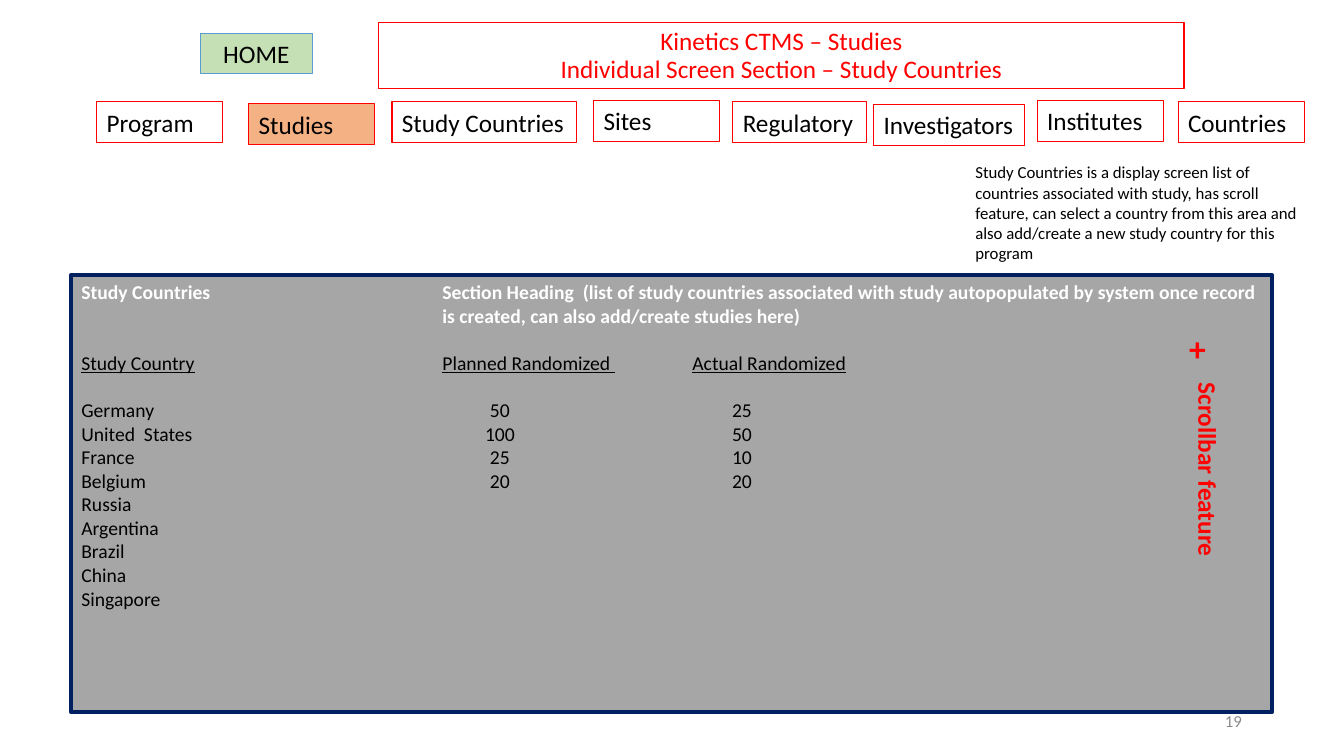
import dataclasses

import lxml.etree
import pptx
import pptx.dml.color
import pptx.enum.shapes
import pptx.enum.text
import pptx.oxml.ns
import pptx.util

Cm, Pt = pptx.util.Cm, pptx.util.Pt
ALIGN = pptx.enum.text.PP_ALIGN
ANCHOR = pptx.enum.text.MSO_ANCHOR
qn = pptx.oxml.ns.qn


@dataclasses.dataclass(frozen=True)
class Theme:
    font: str = "Calibri"
    black: str = "000000"
    white: str = "FFFFFF"
    red: str = "FF0000"
    number_grey: str = "8C8C8C"
    active_fill: str = "F4B183"
    home_fill: str = "C5E0B4"
    home_line: str = "5B9BD5"
    panel_fill: str = "A6A6A6"
    panel_line: str = "002060"
    plus_size: int = 24
    label_size: int = 18
    panel_size: int = 14
    small_size: int = 12


theme = Theme()
rgb = pptx.dml.color.RGBColor.from_string


def add_box(place, line=None, fill=None, line_width=0.75):
    """Add a rectangle, or a plain text box when no line is given."""
    lengths = [Cm(length) for length in place]
    if line:
        box = page.shapes.add_shape(pptx.enum.shapes.MSO_SHAPE.RECTANGLE, *lengths)
        box.shadow.inherit = False
        box.line.color.rgb = rgb(line)
        box.line.width = Pt(line_width)
        if fill:
            box.fill.solid()
            box.fill.fore_color.rgb = rgb(fill)
        else:
            box.fill.background()
    else:
        box = page.shapes.add_textbox(*lengths)
    box.text_frame.word_wrap = True
    box.text_frame.vertical_anchor = ANCHOR.TOP
    box.text_frame.paragraphs[0].alignment = ALIGN.LEFT
    return box


def add_span(para, text, size, color=theme.black, bold=False, underline=False):
    span = para.add_run()
    span.text = text
    span.font.name = theme.font
    span.font.size = Pt(size)
    span.font.color.rgb = rgb(color)
    span.font.bold = bold
    span.font.underline = underline


deck = pptx.Presentation()
deck.slide_width, deck.slide_height = Cm(33.87), Cm(19.05)
page = deck.slides.add_slide(deck.slide_layouts[6])

# Title
title = add_box((9.55, 0.58, 20.29, 1.65), theme.red)
title.text_frame.vertical_anchor = ANCHOR.BOTTOM
para = title.text_frame.paragraphs[0]
para.alignment = ALIGN.CENTER
para.line_spacing = 0.9
add_span(para, "Kinetics CTMS – Studies", theme.label_size, theme.red)
para.add_line_break()
add_span(para, "Individual Screen Section – Study Countries", theme.label_size, theme.red)

# Page number
number = add_box((23.93, 17.65, 7.62, 1.02))
number.text_frame.vertical_anchor = ANCHOR.MIDDLE
para = number.text_frame.paragraphs[0]
para.alignment = ALIGN.RIGHT
add_span(para, "19", theme.small_size, theme.number_grey)

# Home button
home = add_box((5.05, 0.84, 2.82, 1.02), theme.home_line, theme.home_fill)
para = home.text_frame.paragraphs[0]
para.alignment = ALIGN.CENTER
add_span(para, "HOME", theme.label_size)

# Navigation tabs: name, left, top, width
tabs = [
    ("Program", 2.44, 2.57, 3.18),
    ("Studies", 6.27, 2.62, 3.18),
    ("Study Countries", 9.88, 2.57, 4.65),
    ("Sites", 14.96, 2.54, 3.18),
    ("Regulatory", 18.47, 2.57, 3.38),
    ("Investigators", 22.02, 2.64, 3.8),
    ("Institutes", 26.14, 2.54, 3.18),
    ("Countries", 29.69, 2.57, 3.18),
]
for name, left, top, width in tabs:
    fill = theme.active_fill if name == "Studies" else None
    tab = add_box((left, top, width, 1.02), theme.red, fill)
    add_span(tab.text_frame.paragraphs[0], name, theme.label_size)

# Study countries panel: section heading with a hanging indent
panel = add_box((1.8, 6.93, 30.25, 11.02), theme.panel_line, theme.panel_fill, 3)
para = panel.text_frame.paragraphs[0]
properties = para._p.get_or_add_pPr()
properties.set("marL", str(Cm(9.1)))
properties.set("indent", str(-Cm(9.1)))
heading = (
    "Study Countries\tSection Heading  (list of study countries associated with study "
    "autopopulated by system once record is created, can also add/create studies here)"
)
add_span(para, heading, theme.panel_size, theme.white, bold=True)

# Panel rows: headings sit on left tabs, figures on centred tabs
rows = [
    ("Study Country", "Planned Randomized ", "Actual Randomized"),
    ("Germany", "50", "25"),
    ("United  States", "100", "50"),
    ("France", "25", "10"),
    ("Belgium", "20", "20"),
    ("Russia",),
    ("Argentina",),
    ("Brazil",),
    ("China",),
    ("Singapore",),
]
for index, cells in enumerate(rows):
    is_heading = index == 0
    para = panel.text_frame.add_paragraph()
    para.alignment = ALIGN.LEFT
    if index < 2:
        para.space_before = Pt(17)
    stops, kind = ((9.1, 15.4), "l") if is_heading else ((10.55, 16.65), "ctr")
    tab_list = lxml.etree.SubElement(para._p.get_or_add_pPr(), qn("a:tabLst"))
    for stop in stops:
        lxml.etree.SubElement(tab_list, qn("a:tab"), pos=str(Cm(stop)), algn=kind)
    for column, cell in enumerate(cells):
        if column:
            add_span(para, "\t", theme.panel_size)
        add_span(para, cell, theme.panel_size, underline=is_heading)

# Explanatory note
note = add_box((24.33, 3.96, 8.92, 2.82))
add_span(
    note.text_frame.paragraphs[0],
    "Study Countries is a display screen list of countries associated with study, "
    "has scroll feature, can select a country from this area and also add/create "
    "a new study country for this program",
    theme.small_size,
)

# Add button and scrollbar label
plus = add_box((29.72, 8.15, 1.6, 1.27))
add_span(plus.text_frame.paragraphs[0], "+", theme.plus_size, theme.red, bold=True)
scrollbar = add_box((29.69, 9.4, 1.27, 8.26))
scrollbar.text_frame._txBody.bodyPr.set("vert", "vert")
add_span(scrollbar.text_frame.paragraphs[0], "Scrollbar feature", theme.label_size,
         theme.red, bold=True)

deck.save("out.pptx")
